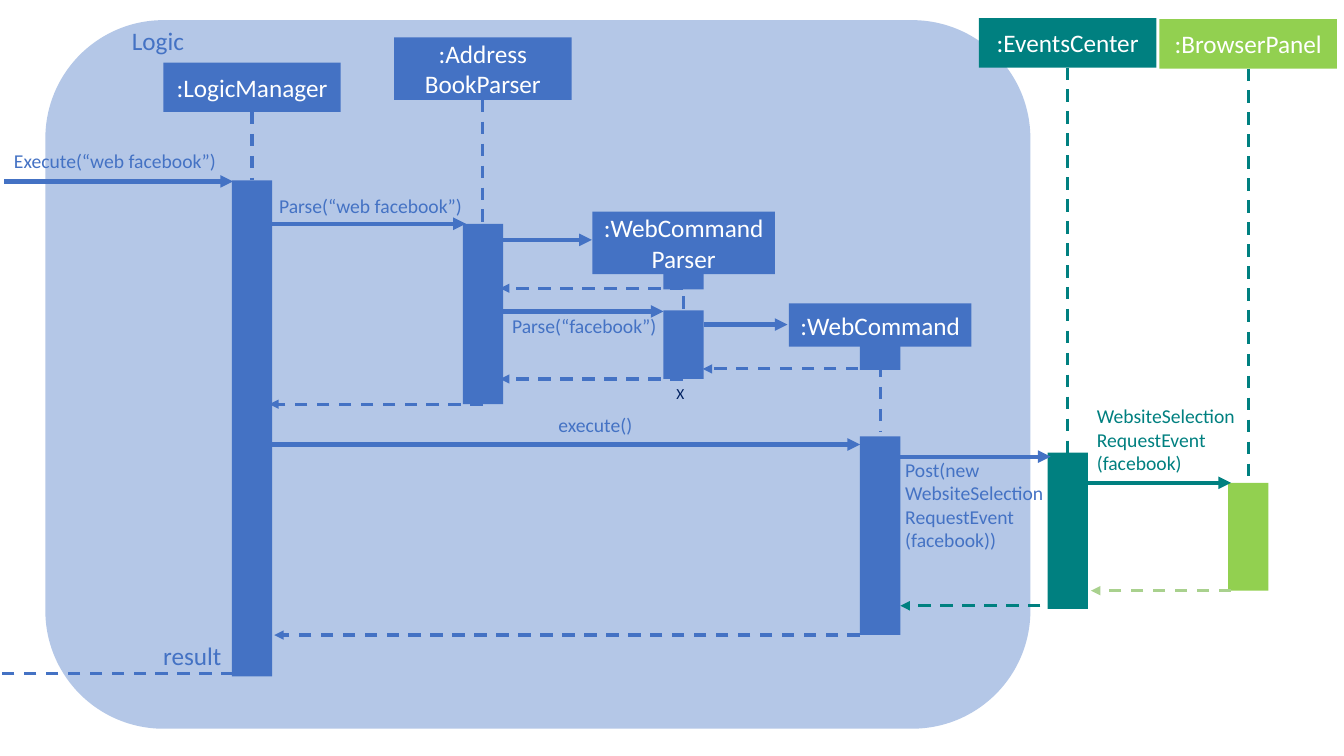
from dataclasses import dataclass

import lxml.etree
import pptx
import pptx.dml.color
import pptx.enum.dml
import pptx.enum.shapes
import pptx.enum.text
import pptx.oxml.ns
import pptx.util
from pptx.util import Inches

BLUE, TEAL, GREEN = "4472C4", "008080", "92D050"
PALE_BLUE, PALE_GREEN, NAVY, WHITE = "B4C7E7", "A9D18E", "002060", "FFFFFF"
BAR_WIDTH = 0.4
SHAPES = pptx.enum.shapes.MSO_SHAPE


@dataclass
class Participant:
    name: str
    x: float  # centre of the head, lifeline and bars
    top: float
    width: float
    height: float
    lifeline: tuple[float, float]
    bars: list[tuple[float, float]]  # top and height of each activation
    color: str = BLUE
    line_color: str = BLUE


@dataclass
class Message:
    start: float
    end: float
    y: float
    color: str = BLUE
    is_reply: bool = False


@dataclass
class Label:
    text: str
    left: float
    top: float
    width: float
    height: float
    size: int = 14
    color: str = BLUE


PARTICIPANTS = [
    Participant(":LogicManager", 2.5, 0.62, 1.76, 0.49, (1.11, 1.79), [(1.79, 4.92)]),
    Participant(":Address\nBookParser", 4.79, 0.37, 1.76, 0.62, (0.99, 2.22), [(2.22, 1.79)]),
    Participant(":WebCommandParser", 6.78, 2.1, 1.81, 0.62, (2.72, 3.08),
                [(2.72, 0.15), (3.08, 0.68)]),
    Participant(":WebCommand", 8.73, 3.01, 1.81, 0.43, (3.62, 4.28),
                [(3.41, 0.26), (4.33, 1.97)]),
    Participant(":EventsCenter", 10.59, 0.18, 1.76, 0.49, (0.67, 4.49), [(4.49, 1.55)],
                TEAL, TEAL),
    Participant(":BrowserPanel", 12.38, 0.19, 1.76, 0.49, (0.68, 4.79), [(4.79, 1.07)],
                GREEN, TEAL),
]

MESSAGES = [
    Message(0.04, 2.31, 1.8),
    Message(2.69, 4.62, 2.22),
    Message(4.99, 5.87, 2.38),
    Message(6.77, 4.96, 2.86, is_reply=True),
    Message(4.99, 6.58, 3.09),
    Message(6.98, 7.81, 3.22),
    Message(8.73, 6.97, 3.66, is_reply=True),
    Message(6.77, 4.96, 3.76, is_reply=True),
    Message(4.79, 2.67, 4.01, is_reply=True),
    Message(2.7, 8.53, 4.41),
    Message(8.93, 10.42, 4.53),
    Message(10.79, 12.21, 4.79, TEAL),
    Message(12.21, 10.82, 5.86, PALE_GREEN, is_reply=True),
    Message(10.32, 8.93, 6.01, TEAL, is_reply=True),
    Message(8.53, 2.72, 6.3, is_reply=True),
    Message(2.32, -0.15, 6.68, is_reply=True),
]

LABELS = [
    Label("Logic", 1.21, 0.2, 0.73, 0.4, 18),
    Label("Execute(“web facebook”)", 0.04, 1.43, 2.22, 0.34),
    Label("Parse(“web facebook”)", 2.67, 1.87, 2.03, 0.34),
    Label("Parse(“facebook”)", 4.98, 3.07, 1.65, 0.34),
    Label("X", 6.61, 3.76, 0.28, 0.29, 11, NAVY),
    Label("execute()", 5.44, 4.05, 0.94, 0.34),
    Label("Post(new\nWebsiteSelection\nRequestEvent\n(facebook))", 8.88, 4.49, 1.59, 1.04),
    Label("WebsiteSelection\nRequestEvent\n(facebook)", 10.78, 3.96, 1.59, 0.81, color=TEAL),
    Label("result", 1.52, 6.3, 0.79, 0.4, 18),
]


def rgb(color: str) -> pptx.dml.color.RGBColor:
    return pptx.dml.color.RGBColor.from_string(color)


def set_text(tf, text: str, size: int, color: str, align) -> None:
    tf.text = text
    for p in tf.paragraphs:
        p.alignment = align
        for r in p.runs:
            r.font.name = "Calibri"
            r.font.size = pptx.util.Pt(size)
            r.font.color.rgb = rgb(color)


def add_box(slide, left: float, top: float, width: float, height: float, color: str,
            kind=SHAPES.RECTANGLE):
    sp = slide.shapes.add_shape(kind, Inches(left), Inches(top), Inches(width), Inches(height))
    sp.shadow.inherit = False
    sp.fill.solid()
    sp.fill.fore_color.rgb = rgb(color)
    sp.line.fill.background()
    return sp


def add_line(slide, x1: float, y1: float, x2: float, y2: float, color: str,
             dashed: bool, arrow: bool) -> None:
    qn = pptx.oxml.ns.qn
    line = slide.shapes.add_connector(pptx.enum.shapes.MSO_CONNECTOR.STRAIGHT,
                                      Inches(x1), Inches(y1), Inches(x2), Inches(y2))
    line.line.color.rgb = rgb(color)
    line.line.width = pptx.util.Pt(2.25 if dashed else 3)
    if dashed:
        line.line.dash_style = pptx.enum.dml.MSO_LINE.DASH
    sp_pr = line.element.find(qn("p:spPr"))
    if arrow:
        lxml.etree.SubElement(sp_pr.find(qn("a:ln")), qn("a:tailEnd"), type="triangle")
    lxml.etree.SubElement(sp_pr, qn("a:effectLst"))


def add_participant(slide, part: Participant) -> None:
    head = add_box(slide, part.x - part.width / 2, part.top, part.width, part.height, part.color)
    tf = head.text_frame
    tf.word_wrap = True
    tf.vertical_anchor = pptx.enum.text.MSO_ANCHOR.MIDDLE
    set_text(tf, part.name, 18, WHITE, pptx.enum.text.PP_ALIGN.CENTER)
    top, bottom = part.lifeline
    add_line(slide, part.x, top, part.x, bottom, part.line_color, dashed=True, arrow=False)
    for bar_top, bar_height in part.bars:
        add_box(slide, part.x - BAR_WIDTH / 2, bar_top, BAR_WIDTH, bar_height, part.color)


def add_label(slide, label: Label) -> None:
    sp = slide.shapes.add_textbox(Inches(label.left), Inches(label.top),
                                  Inches(label.width), Inches(label.height))
    tf = sp.text_frame
    tf.word_wrap = False
    tf.auto_size = pptx.enum.text.MSO_AUTO_SIZE.SHAPE_TO_FIT_TEXT
    set_text(tf, label.text, label.size, label.color, pptx.enum.text.PP_ALIGN.LEFT)


def main() -> None:
    prs = pptx.Presentation()
    prs.slide_width, prs.slide_height = Inches(13.33), Inches(7.5)
    slide = prs.slides.add_slide(prs.slide_layouts[6])
    add_box(slide, 0.45, 0.2, 9.77, 7.03, PALE_BLUE, SHAPES.ROUNDED_RECTANGLE)
    for part in PARTICIPANTS:
        add_participant(slide, part)
    for msg in MESSAGES:
        add_line(slide, msg.start, msg.y, msg.end, msg.y, msg.color, msg.is_reply, arrow=True)
    for label in LABELS:
        add_label(slide, label)
    prs.save("out.pptx")


if __name__ == "__main__":
    main()
